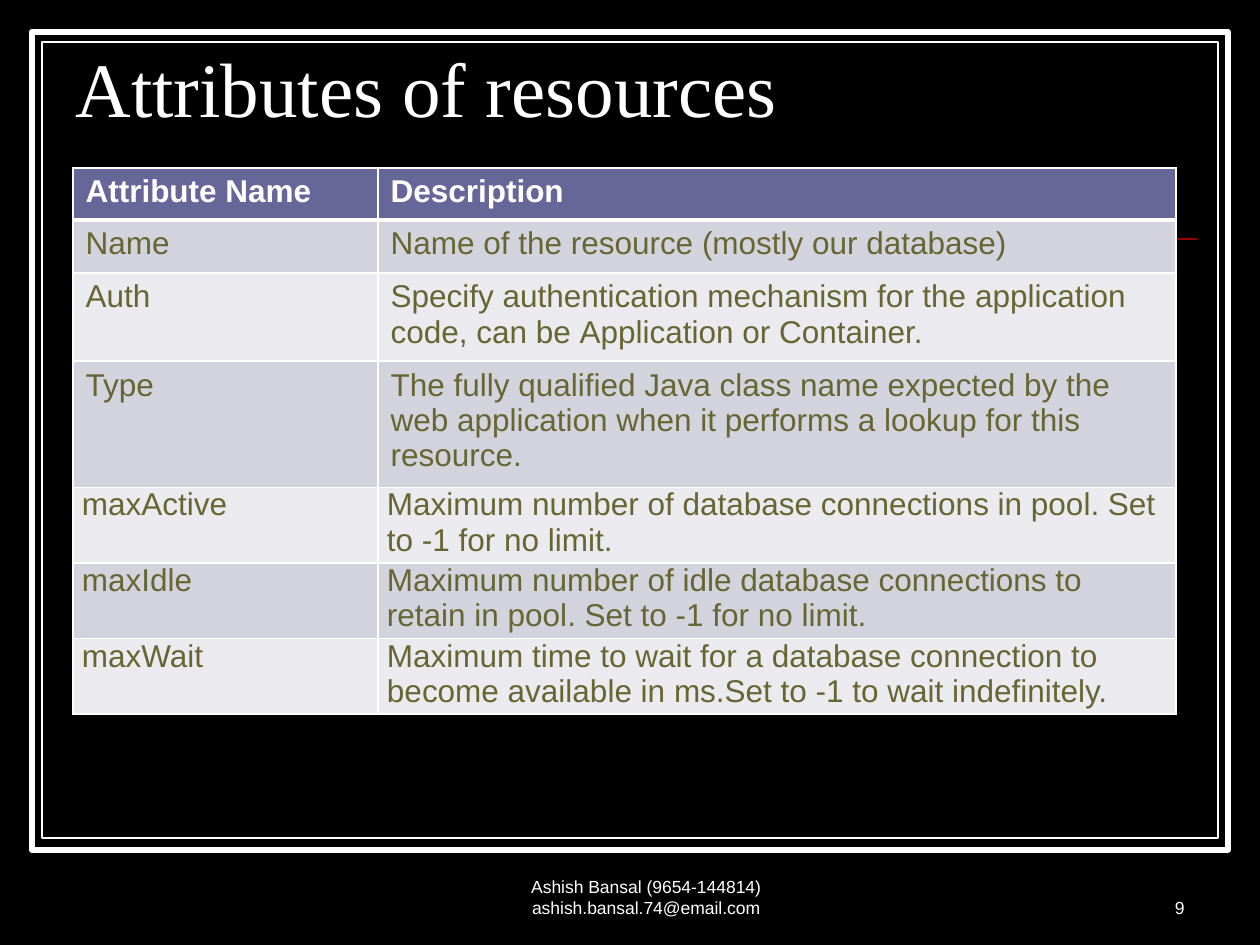
from lxml.etree import SubElement
from pptx import Presentation
from pptx.dml.color import RGBColor
from pptx.enum.shapes import MSO_CONNECTOR, MSO_SHAPE
from pptx.enum.text import MSO_ANCHOR, MSO_AUTO_SIZE, PP_ALIGN
from pptx.oxml import parse_xml
from pptx.oxml.ns import nsdecls, qn
from pptx.util import Pt

TITLE = ("Attributes of resources", (63, 42, 1124, 97))
FRAMES = [((32, 32, 1196, 818), 3.5), ((42, 42, 1176, 796), 0.75)]
RULE = (73, 239, 1197, 239)
FOOTERS = [
    ("Ashish Bansal (9654-144814) ashish.bansal.74@email.com",
     (446, 861, 400, 63), PP_ALIGN.CENTER),
    ("9", (935, 861, 262, 63), PP_ALIGN.RIGHT),
]
ROWS = [
    ("Attribute Name", "Description"),
    ("Name", "Name of the resource (mostly our database)"),
    ("Auth", "Specify authentication mechanism for the application code, "
             "can be\u00a0Application\u00a0or\u00a0Container."),
    ("Type", "The fully qualified Java class name expected by the web "
             "application when it performs a lookup for this resource."),
    ("maxActive", "Maximum number of database connections in pool. "
                  "Set to -1 for no limit."),
    ("maxIdle", "Maximum number of idle database connections to retain "
                "in pool. Set to -1 for no limit."),
    ("maxWait", "Maximum time to wait for a database connection to become "
                "available in ms.Set to -1 to wait indefinitely."),
]
TABLE_AT = (73, 168)
COL_WIDTHS = (305, 798)
ROW_HEIGHTS = (52, 53, 83, 118, 71, 71, 70)
FIRST_TIGHT_ROW = 4
BANDS = ("EAEAEF", "D3D3DE")
HEADER_FILL = "666699"
TITLE_FONT = dict(name="Times New Roman", size=Pt(44), color="FFFFFF", bold=False)
FOOTER_FONT = dict(name="Arial", size=Pt(10), color="FFFFFF", bold=False)
HEADER_FONT = dict(name="Arial", size=Pt(18), color="FFFFFF", bold=True)
BODY_FONT = dict(HEADER_FONT, color="666633", bold=False)


def px(*values):
    return [v * 914400 // 126 for v in values]


def paint(color_format, color):
    color_format.rgb = RGBColor.from_string(color)


def fill(target, color):
    target.fill.solid()
    paint(target.fill.fore_color, color)


def write(tf, text, font, align=PP_ALIGN.LEFT):
    p = tf.paragraphs[0]
    p.alignment = align
    r = p.add_run()
    r.text = text
    for key, value in font.items():
        if key == "color":
            paint(r.font.color, value)
        else:
            setattr(r.font, key, value)
    return p


def border(cell, **widths):
    tcPr = cell._tc.get_or_add_tcPr()
    for i, side in enumerate("LRTB"):
        tcPr.insert(i, parse_xml(
            f'<a:ln{side} {nsdecls("a")} w="{Pt(widths.get(side, 1))}">'
            '<a:solidFill><a:srgbClr val="FFFFFF"/></a:solidFill>'
            f'</a:ln{side}>'))


prs = Presentation()
prs.slide_width, prs.slide_height = px(1260, 945)
s = prs.slides.add_slide(prs.slide_layouts[5])
fill(s.background, "000000")

title = s.shapes.title
title.left, title.top, title.width, title.height = px(*TITLE[1])
tf = title.text_frame
tf.auto_size = MSO_AUTO_SIZE.NONE
tf.vertical_anchor = MSO_ANCHOR.BOTTOM
write(tf, TITLE[0], TITLE_FONT).line_spacing = 0.8

for box, width in FRAMES:
    sp = s.shapes.add_shape(MSO_SHAPE.RECTANGLE, *px(*box))
    sp.shadow.inherit = False
    fill(sp, "000000")
    paint(sp.line.color, "FFFFFF")
    sp.line.width = Pt(width)

rule = s.shapes.add_connector(MSO_CONNECTOR.STRAIGHT, *px(*RULE))
paint(rule.line.color, "990000")
rule.line.width = Pt(1)
SubElement(rule._element.spPr, qn("a:effectLst"))

s.shapes._spTree.append(title._element)

for text, box, align in FOOTERS:
    tf = s.shapes.add_textbox(*px(*box)).text_frame
    tf.word_wrap = True
    tf.vertical_anchor = MSO_ANCHOR.BOTTOM
    write(tf, text, FOOTER_FONT, align)

table = s.shapes.add_table(
    len(ROWS), len(COL_WIDTHS),
    *px(*TABLE_AT, sum(COL_WIDTHS), sum(ROW_HEIGHTS))).table
for column, width in zip(table.columns, px(*COL_WIDTHS)):
    column.width = width
for row, height in zip(table.rows, px(*ROW_HEIGHTS)):
    row.height = height
for i, texts in enumerate(ROWS):
    for j, text in enumerate(texts):
        cell = table.cell(i, j)
        fill(cell, BANDS[i % 2] if i else HEADER_FILL)
        border(cell, T=3 if i == 1 else 1, B=1 if i else 3)
        if i >= FIRST_TIGHT_ROW:
            cell.margin_left, cell.margin_right = px(9, 9)
            cell.margin_top = cell.margin_bottom = 0
        write(cell.text_frame, text, BODY_FONT if i else HEADER_FONT)

prs.save("out.pptx")
